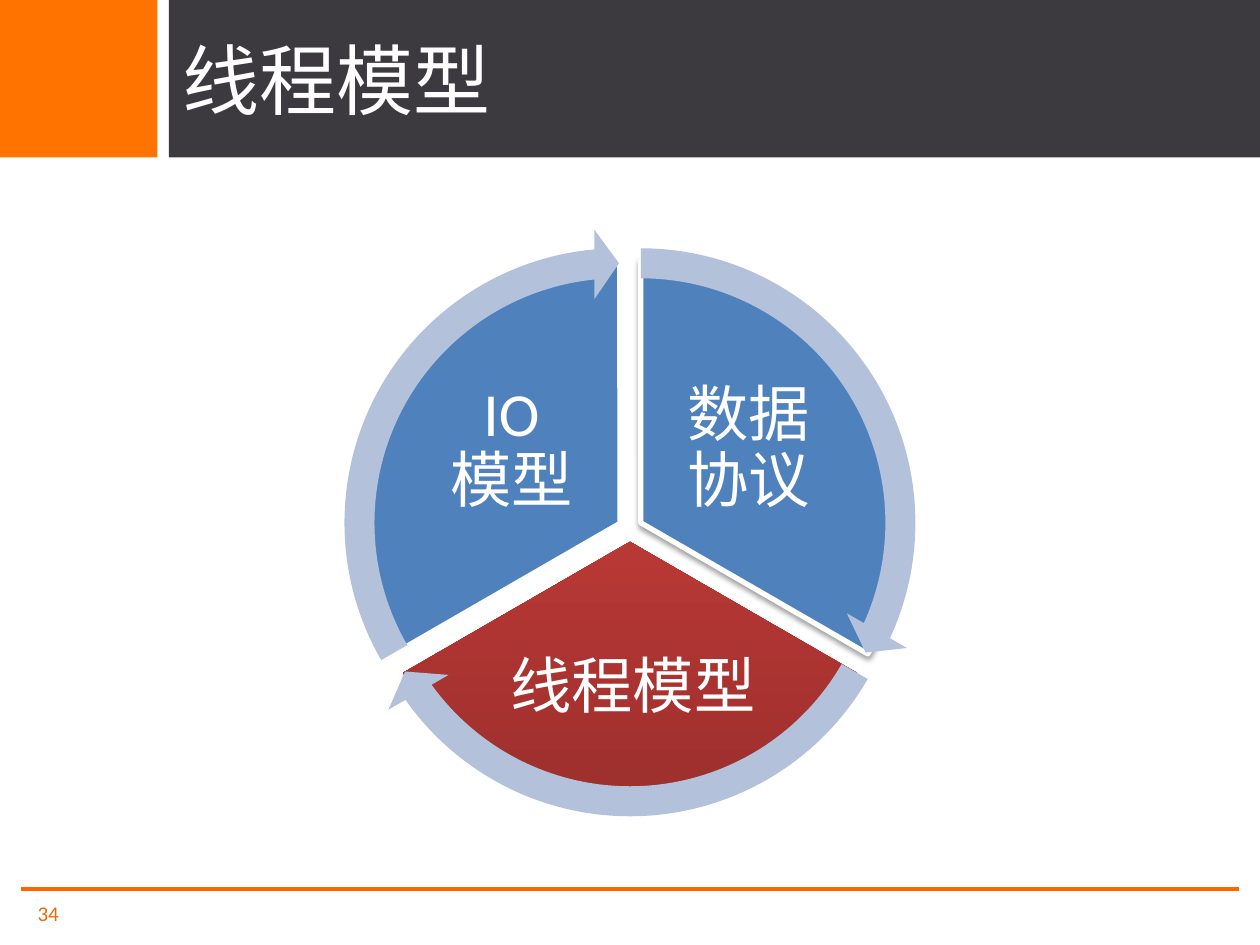
"""Build the thread model slide: a three-part wheel with cycle arrows."""
from math import cos, radians, sin

from lxml import etree
from pptx import Presentation
from pptx.dml.color import RGBColor
from pptx.enum.shapes import MSO_CONNECTOR, MSO_SHAPE
from pptx.enum.text import MSO_ANCHOR, PP_ALIGN
from pptx.oxml.ns import qn
from pptx.util import Pt

RECT, PIE, ARROW = MSO_SHAPE.RECTANGLE, MSO_SHAPE.PIE, MSO_SHAPE.CIRCULAR_ARROW
LINE, MIDDLE = MSO_CONNECTOR.STRAIGHT, MSO_ANCHOR.MIDDLE
LEFT, CENTER = PP_ALIGN.LEFT, PP_ALIGN.CENTER

TITLE = "线程模型"
NUMBER = "34"
FONT = "Calibri"
BARS = [((96.5, 0, 623.5, 90), "3C3A3E"), ((0, 0, 90, 90), "FF7300")]
BLUE = ["4F81BD"]
RED = ["9C2F2D", "CB3E3A"]
PARTS = [
    {"text": "数据协议", "box": (374.4, 212.4, 106.5, 89.3), "fill": BLUE,
     "edge": 3, "shade": (38, 1.6)},
    {"text": "线程模型", "box": (281.5, 354.2, 160.5, 78.5), "fill": RED,
     "edge": 0, "shade": (35, 1.8)},
    {"text": "IO\v模型", "box": (239, 212.4, 106.5, 89.3), "fill": BLUE,
     "edge": 2, "shade": None},
]
HUB = (360, 302.4)
GAP, DISC, RING = 7.2, 299.5, 336.3
SWEEP, FIRST = 120, 270
UNIT = 0.6
TIP = 3.27


def color(code):
    return RGBColor.from_string(code)


def paint(shape, codes):
    fill = shape.fill
    if len(codes) == 1:
        fill.solid()
        fill.fore_color.rgb = color(codes[0])
        return
    fill.gradient()
    fill.gradient_angle = 90
    for stop, code, place in zip(fill.gradient_stops, codes, (0, 0.8)):
        stop.color.rgb = color(code)
        stop.position = place


def draw(slide, kind, box, codes, edge=0, turns=()):
    shape = slide.shapes.add_shape(kind, *map(Pt, box))
    for i, turn in enumerate(turns):
        shape.adjustments[i] = turn
    paint(shape, codes)
    if edge:
        shape.line.color.rgb = color("FFFFFF")
        shape.line.width = Pt(edge)
    else:
        shape.line.fill.background()
    shape.shadow.inherit = False
    return shape


def shade(shape, alpha, dist):
    effects = shape._element.spPr.find(qn("a:effectLst"))
    drop = etree.SubElement(effects, qn("a:outerShdw"), blurRad=str(Pt(3.1)),
                            dist=str(Pt(dist)), dir="5400000", rotWithShape="0")
    black = etree.SubElement(drop, qn("a:srgbClr"), val="000000")
    etree.SubElement(black, qn("a:alpha"), val=str(alpha * 1000))


def write(shape, text, size, code, align):
    frame = shape.text_frame
    frame.word_wrap = True
    frame.vertical_anchor = MIDDLE
    para = frame.paragraphs[0]
    para.text = text
    para.alignment = align
    for run in para.runs:
        run.font.name = FONT
        run.font.size = Pt(size)
        run.font.color.rgb = color(code)
    return frame


def label(slide, text, box):
    frame = write(slide.shapes.add_textbox(*map(Pt, box)), text, 35, "FFFFFF", CENTER)
    frame.margin_left = frame.margin_right = Pt(3.6)
    frame.margin_top = frame.margin_bottom = Pt(3.6)
    para = frame.paragraphs[0]
    para.line_spacing = 0.9
    para.space_after = Pt(12.25)


def square(mid, size):
    return mid[0] - size / 2, mid[1] - size / 2, size, size


def wheel(slide):
    rings = []
    for i, part in enumerate(PARTS):
        start = (FIRST + i * SWEEP) % 360
        end = (start + SWEEP) % 360
        half = radians(start + SWEEP / 2)
        mid = HUB[0] + GAP * cos(half), HUB[1] + GAP * sin(half)
        slice_ = draw(slide, PIE, square(mid, DISC), part["fill"], part["edge"],
                      (start * UNIT, end * UNIT))
        if part["shade"]:
            shade(slice_, *part["shade"])
        label(slide, part["text"], part["box"])
        rings.append((mid, (0.051, TIP, end * UNIT - TIP, start * UNIT, 0.059)))
    for mid, turns in rings:
        draw(slide, ARROW, square(mid, RING), ["B3C1DB"], turns=turns)


def frame_page(slide):
    for box, code in BARS:
        draw(slide, RECT, box, [code])
    rule = slide.shapes.add_connector(LINE, Pt(12.2), Pt(508), Pt(707.8), Pt(508))
    rule.line.color.rgb = color("FF6600")
    rule.line.width = Pt(2.25)
    etree.SubElement(rule._element.spPr, qn("a:effectLst"))
    title = slide.shapes.title
    title.left, title.top, title.width, title.height = map(Pt, (97.2, 0, 622.8, 90))
    write(title, TITLE, 44, "FFFFFF", LEFT)
    slide.shapes._spTree.append(title._element)


def main():
    deck = Presentation()
    deck.slide_width, deck.slide_height = Pt(720), Pt(540)
    slide = deck.slides.add_slide(deck.slide_layouts[5])
    frame_page(slide)
    wheel(slide)
    page = slide.shapes.add_textbox(*map(Pt, (14.4, 507.6, 79.2, 28.8)))
    write(page, NUMBER, 12, "E46C0A", LEFT)
    deck.save("out.pptx")


if __name__ == "__main__":
    main()
